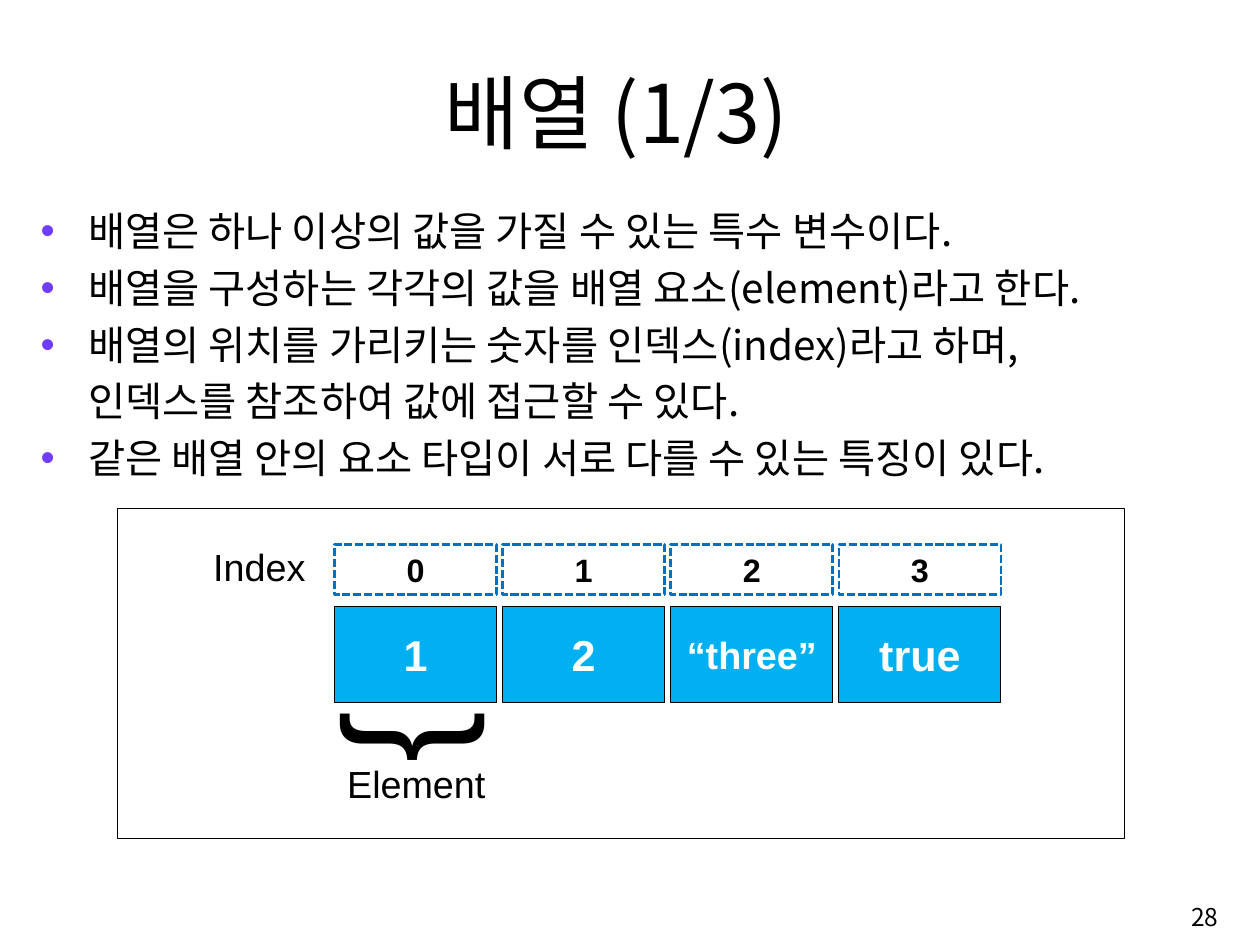
from pptx import Presentation
from pptx.dml.color import RGBColor
from pptx.enum.dml import MSO_LINE
from pptx.enum.shapes import MSO_SHAPE
from pptx.enum.text import MSO_ANCHOR, PP_ALIGN
from pptx.oxml.ns import qn
from pptx.util import Pt
from lxml.etree import SubElement

COLORS = {"black": "000000", "white": "FFFFFF", "bullet": "703DFF",
          "cell": "00B0F0", "dash": "0070C0"}
KOREAN = "Noto Sans CJK KR"


def add_run(p, text, size, font=KOREAN, color="black", bold=False):
    r = p.add_run()
    r.text = text
    r.font.size = Pt(size)
    r.font.name = font
    r.font.bold = bold
    r.font.color.rgb = RGBColor.from_string(COLORS[color])
    SubElement(r._r.get_or_add_rPr(), qn("a:ea")).set("typeface", font)


def add_box(x, y, w, h, line="black", weight=0.75, fill=None):
    s = shapes.add_shape(MSO_SHAPE.RECTANGLE, Pt(x), Pt(y), Pt(w), Pt(h))
    s.shadow.inherit = False
    s.line.color.rgb = RGBColor.from_string(COLORS[line])
    s.line.width = Pt(weight)
    if fill:
        s.fill.solid()
        s.fill.fore_color.rgb = RGBColor.from_string(COLORS[fill])
    else:
        s.fill.background()
    s.text_frame.vertical_anchor = MSO_ANCHOR.MIDDLE
    s.text_frame.paragraphs[0].alignment = PP_ALIGN.CENTER
    return s


prs = Presentation()
prs.slide_width, prs.slide_height = Pt(935.3), Pt(701.3)
slide = prs.slides.add_slide(prs.slide_layouts[6])
shapes = slide.shapes

body = [
    ("배열은 하나 이상의 값을 가질 수 있는 특수 변수이다.", True),
    ("배열을 구성하는 각각의 값을 배열 요소(element)라고 한다.", True),
    ("배열의 위치를 가리키는 숫자를 인덱스(index)라고 하며,", True),
    ("인덱스를 참조하여 값에 접근할 수 있다.", False),
    ("같은 배열 안의 요소 타입이 서로 다를 수 있는 특징이 있다.", True),
]
tf = shapes.add_textbox(Pt(23), Pt(143.5), Pt(887), Pt(508)).text_frame
tf.word_wrap = True
for i, (text, bulleted) in enumerate(body):
    p = tf.paragraphs[0] if i == 0 else tf.add_paragraph()
    p.line_spacing = Pt(42.1)
    pPr = p._p.get_or_add_pPr()
    pPr.set("marL", str(Pt(35.3)))
    if bulleted:
        pPr.set("indent", str(-Pt(35.3)))
        buClr = SubElement(pPr, qn("a:buClr"))
        SubElement(buClr, qn("a:srgbClr")).set("val", COLORS["bullet"])
        SubElement(pPr, qn("a:buFont")).set("typeface", "Arial")
        SubElement(pPr, qn("a:buChar")).set("char", "•")
    add_run(p, text, 30)

add_box(87.1, 377.3, 748, 244.8)
cells = [("1", 32), ("2", 32), ("“three”", 28), ("true", 32)]
for i, (value, size) in enumerate(cells):
    x = 248.4 + i * 124.8
    s = add_box(x, 450, 120.2, 71.3, fill="cell")
    add_run(s.text_frame.paragraphs[0], value, size, "Arial", "white", True)
    s = add_box(x, 403.9, 120.2, 37.4, "dash", 2)
    s.line.dash_style = MSO_LINE.SQUARE_DOT
    add_run(s.text_frame.paragraphs[0], str(i), 24, "Arial", bold=True)

labels = [
    ("Index", 151.2, 400.3, 83.5, 41, 28, 0),
    ("Element", 250.6, 560.9, 118, 41, 28, 0),
    ("}", 295.2, 473.8, 53.3, 146.9, 115, 90),
]
for text, x, y, w, h, size, rotation in labels:
    s = shapes.add_textbox(Pt(x), Pt(y), Pt(w), Pt(h))
    s.rotation = rotation
    s.text_frame.word_wrap = False
    add_run(s.text_frame.paragraphs[0], text, size, "Arial")

headings = [
    ("배열 (1/3)", 75.6, 43.9, 763.9, 77.8, 60, PP_ALIGN.CENTER, MSO_ANCHOR.BOTTOM),
    ("28", 718.6, 658.8, 193, 43.2, 18.2, PP_ALIGN.RIGHT, MSO_ANCHOR.MIDDLE),
]
for text, x, y, w, h, size, align, anchor in headings:
    tf = shapes.add_textbox(Pt(x), Pt(y), Pt(w), Pt(h)).text_frame
    tf.word_wrap = True
    tf.vertical_anchor = anchor
    p = tf.paragraphs[0]
    p.alignment = align
    add_run(p, text, size)

prs.save("out.pptx")
